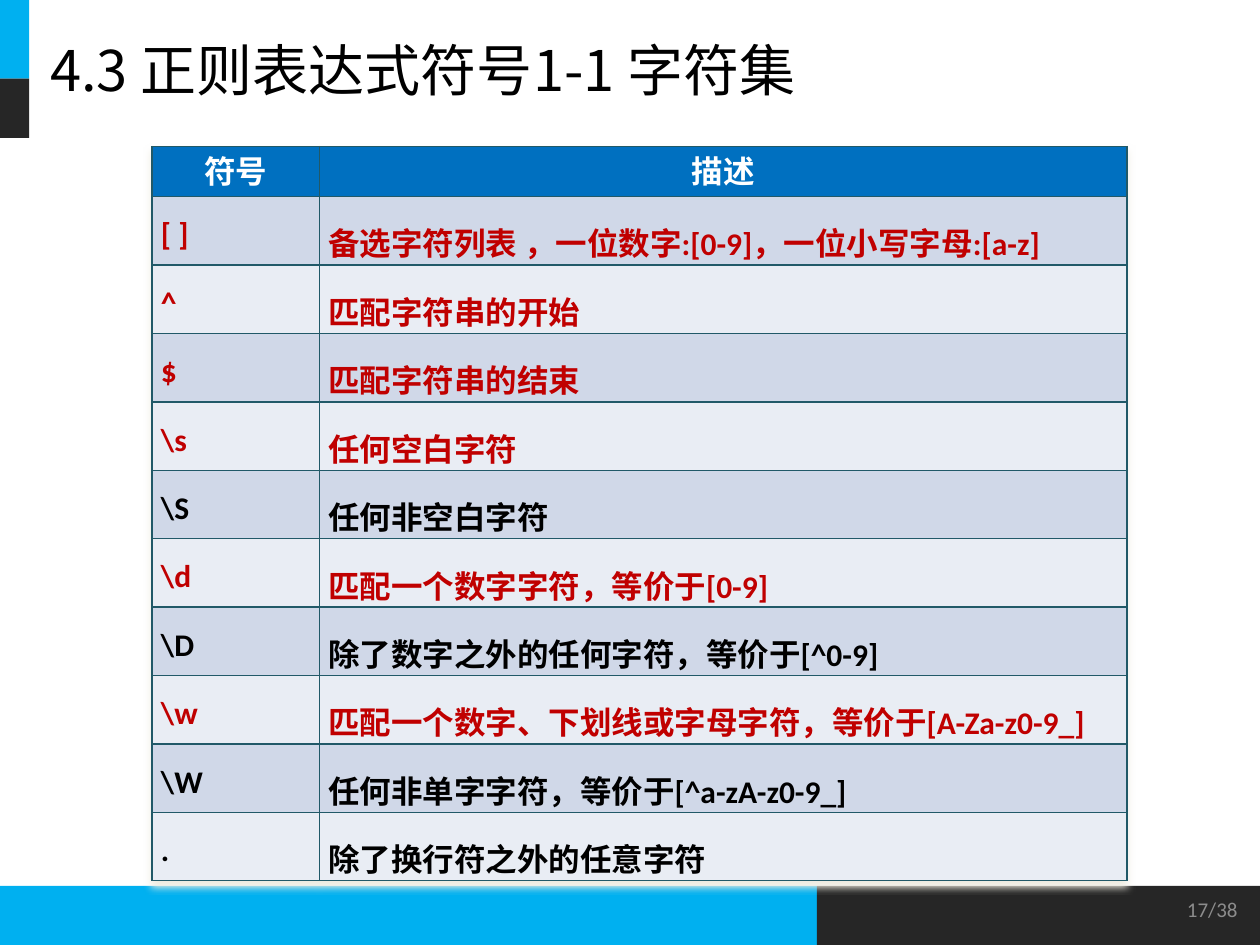
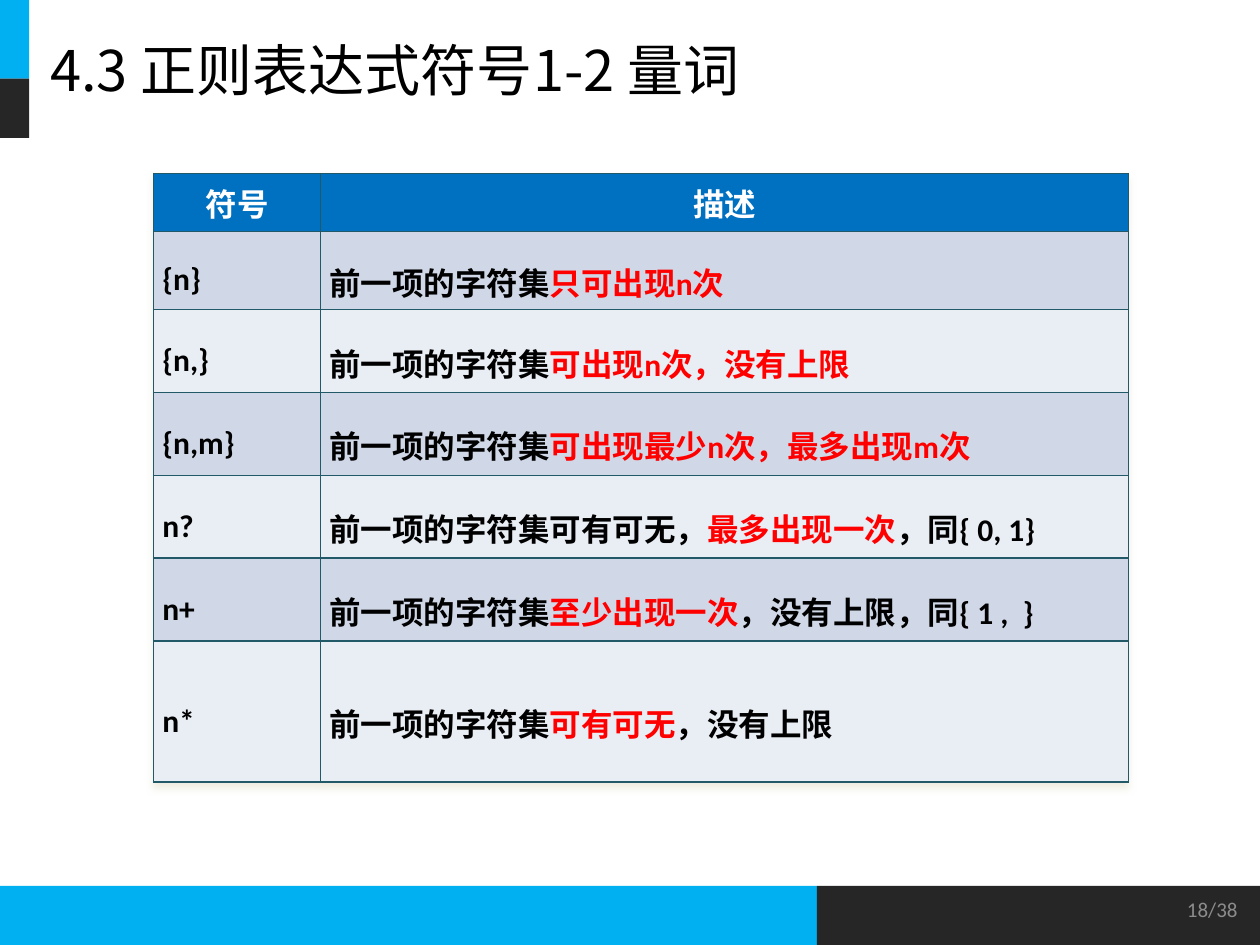
import pptx
import pptx.dml.color
import pptx.enum.shapes
import pptx.enum.text
import pptx.oxml
import pptx.oxml.ns
import pptx.util

Pt = pptx.util.Pt
RGBColor = pptx.dml.color.RGBColor
Align = pptx.enum.text.PP_ALIGN
Anchor = pptx.enum.text.MSO_ANCHOR

WHITE = RGBColor(0xFF, 0xFF, 0xFF)
BLACK = RGBColor(0x00, 0x00, 0x00)
CYAN = RGBColor(0x00, 0xB0, 0xF0)
CHARCOAL = RGBColor(0x26, 0x26, 0x26)
GRAY = RGBColor(0x8C, 0x8C, 0x8C)
HEADER_BLUE = RGBColor(0x00, 0x70, 0xC0)
ROW_DARK = RGBColor(0xD0, 0xD8, 0xE8)
ROW_LIGHT = RGBColor(0xE9, 0xED, 0xF4)
BORDER = RGBColor(0x21, 0x59, 0x68)
SHADOW = RGBColor(0xEE, 0xEC, 0xE1)
CRIMSON = RGBColor(0xC0, 0x00, 0x00)
RED = RGBColor(0xFF, 0x00, 0x00)

LATIN_FONT = "Calibri"
CHINESE_FONT = "Noto Sans CJK SC"
NAMESPACE = pptx.oxml.ns.nsdecls("a")
COLUMN_WIDTHS = (95.5, 461.5)

# Character classes: symbol, description, text colour
CHARACTER_SETS = [
    ("[ ]", "备选字符列表 ，一位数字:[0-9]，一位小写字母:[a-z]", CRIMSON),
    ("^", "匹配字符串的开始", CRIMSON),
    ("$", "匹配字符串的结束", CRIMSON),
    ("\\s", "任何空白字符", CRIMSON),
    ("\\S", "任何非空白字符", BLACK),
    ("\\d", "匹配一个数字字符，等价于[0-9]", CRIMSON),
    ("\\D", "除了数字之外的任何字符，等价于[^0-9]", BLACK),
    ("\\w", "匹配一个数字、下划线或字母字符，等价于[A-Za-z0-9_]", CRIMSON),
    ("\\W", "任何非单字字符，等价于[^a-zA-z0-9_]", BLACK),
    (".", "除了换行符之外的任意字符", BLACK),
]

# Quantifiers: symbol, then plain, stressed and plain parts of the description
QUANTIFIERS = [
    ("{n}", "前一项的字符集", "只可出现n次", ""),
    ("{n,}", "前一项的字符集", "可出现n次，没有上限", ""),
    ("{n,m}", "前一项的字符集", "可出现最少n次，最多出现m次", ""),
    ("n?", "前一项的字符集可有可无，", "最多出现一次", "，同{ 0, 1}"),
    ("n+", "前一项的字符集", "至少出现一次", "，没有上限，同{ 1 ,  }"),
    ("n*", "前一项的字符集", "可有可无", "，没有上限"),
]


class Deck:
    """Holds the shared style and the slide being filled."""

    def __init__(self):
        self.deck = pptx.Presentation()
        self.deck.slide_width = Pt(720)
        self.deck.slide_height = Pt(540)
        self.page = None

    def add_page(self, title, number):
        self.page = self.deck.slides.add_slide(self.deck.slide_layouts[6])
        # Footer band and corner blocks
        self.add_block(0, 506.2, 466.8, 33.8, CYAN)
        self.add_block(466.8, 506.2, 253.2, 33.8, CHARCOAL)
        self.add_block(0, 0, 16.7, 45, CYAN)
        self.add_block(0, 45, 16.7, 33.8, CHARCOAL)
        # Title and page number
        self.add_text(21.6, 0, 676, 78.5, title, 32, BLACK, CHINESE_FONT, Align.LEFT)
        self.add_text(546.5, 505.4, 167.8, 28.8, number, 12, GRAY, LATIN_FONT, Align.RIGHT)

    def add_block(self, left, top, width, height, colour):
        block = self.page.shapes.add_shape(
            pptx.enum.shapes.MSO_SHAPE.RECTANGLE, Pt(left), Pt(top), Pt(width), Pt(height))
        block.shadow.inherit = False
        block.fill.solid()
        block.fill.fore_color.rgb = colour
        block.line.fill.background()

    def add_text(self, left, top, width, height, text, size, colour, font, align):
        box = self.page.shapes.add_textbox(Pt(left), Pt(top), Pt(width), Pt(height))
        frame = box.text_frame
        frame.word_wrap = True
        frame.vertical_anchor = Anchor.MIDDLE
        frame.text = text
        para = frame.paragraphs[0]
        para.alignment = align
        self.style_span(para.runs[0], size, colour, font)

    def style_span(self, span, size, colour, font=LATIN_FONT, bold=False):
        span.font.size = Pt(size)
        span.font.name = font
        span.font.bold = bold
        span.font.color.rgb = colour
        span.font._element.append(pptx.oxml.parse_xml(
            f'<a:ea {NAMESPACE} typeface="{CHINESE_FONT}"/>'))

    def add_table(self, left, top, heights, rows, anchor):
        """Each row is a pair of cells; each cell is a list of (text, colour)."""
        rows = [([("符号", WHITE)], [("描述", WHITE)])] + rows
        table = self.page.shapes.add_table(
            len(rows), len(COLUMN_WIDTHS), Pt(left), Pt(top),
            Pt(sum(COLUMN_WIDTHS)), Pt(sum(heights))).table
        table.horz_banding = False
        self.add_table_shadow(table)
        for column, width in zip(table.columns, COLUMN_WIDTHS):
            column.width = Pt(width)
        for index, (cells, height) in enumerate(zip(rows, heights)):
            table.rows[index].height = Pt(height)
            for column, spans in enumerate(cells):
                cell = table.cell(index, column)
                cell.vertical_anchor = anchor
                self.fill_cell(cell, spans, index)

    def fill_cell(self, cell, spans, index):
        cell.margin_left = cell.margin_right = Pt(5)
        cell.margin_top = cell.margin_bottom = 0
        cell.fill.solid()
        para = cell.text_frame.paragraphs[0]
        if index == 0:
            cell.fill.fore_color.rgb = HEADER_BLUE
            para.alignment = Align.CENTER
        else:
            cell.fill.fore_color.rgb = ROW_DARK if index % 2 else ROW_LIGHT
            para.alignment = Align.JUSTIFY
            para.line_spacing = 1.5
        for text, colour in spans:
            span = para.add_run()
            span.text = text
            self.style_span(span, 18, colour, bold=True)
        # Borders come before the fill in the cell properties
        properties = cell._tc.get_or_add_tcPr()
        for place, side in enumerate(("lnL", "lnR", "lnT", "lnB")):
            properties.insert(place, pptx.oxml.parse_xml(
                f'<a:{side} {NAMESPACE} w="{Pt(1)}"><a:solidFill>'
                f'<a:srgbClr val="{BORDER}"/></a:solidFill></a:{side}>'))

    def add_table_shadow(self, table):
        table._tbl.tblPr.insert(0, pptx.oxml.parse_xml(
            f'<a:effectLst {NAMESPACE}><a:outerShdw blurRad="{Pt(4)}" dist="{Pt(3)}" '
            f'dir="5400000"><a:srgbClr val="{SHADOW}"/></a:outerShdw></a:effectLst>'))


def main():
    show = Deck()

    # Character sets
    show.add_page("4.3 正则表达式符号1-1 字符集", "17/38")
    rows = [([(symbol, colour)], [(description, colour)])
            for symbol, description, colour in CHARACTER_SETS]
    show.add_table(87, 83.8, [28.6] + [39.1] * len(rows), rows, Anchor.TOP)

    # Quantifiers
    show.add_page("4.3 正则表达式符号1-2 量词", "18/38")
    rows = [([(symbol, BLACK)],
             [(text, colour) for text, colour in ((start, BLACK), (stress, RED), (end, BLACK))
              if text])
            for symbol, start, stress, end in QUANTIFIERS]
    show.add_table(87.8, 99.2, [33.2, 44.4] + [47.4] * 4 + [80.6], rows, Anchor.MIDDLE)

    show.deck.save("out.pptx")


if __name__ == "__main__":
    main()
